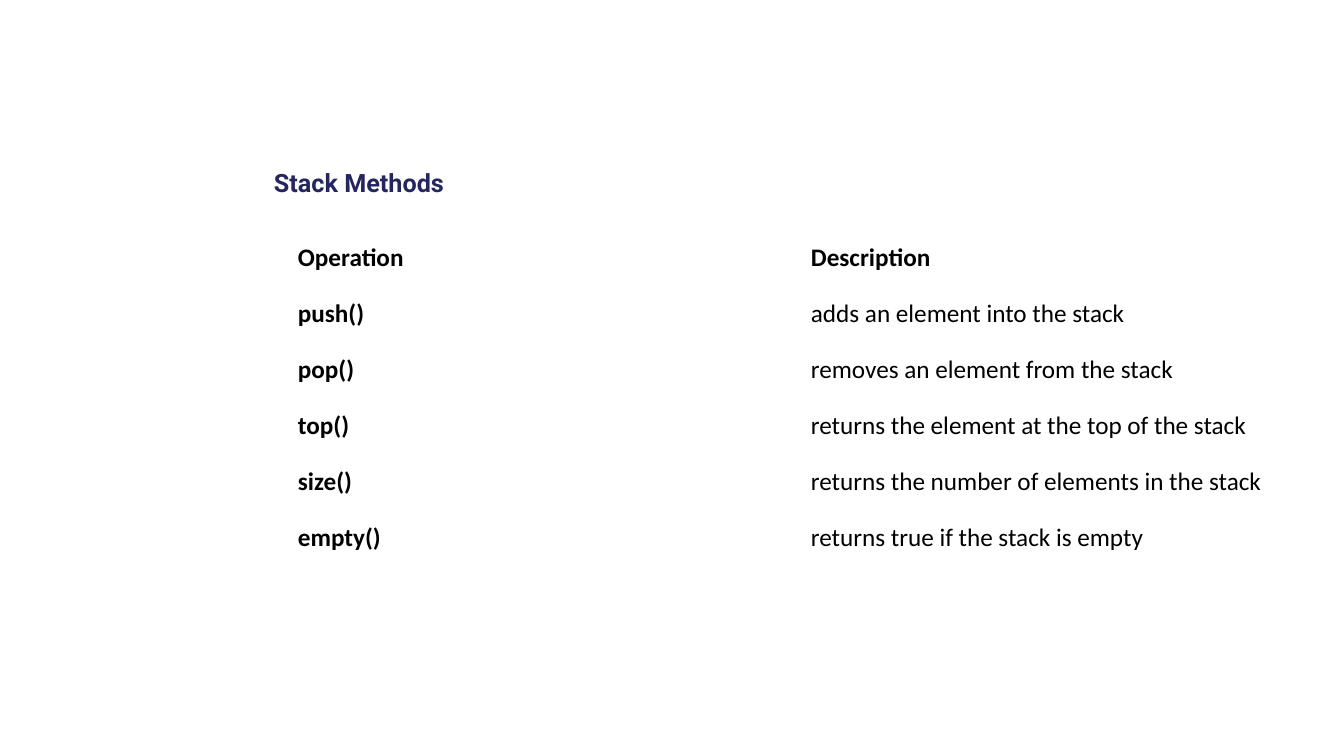
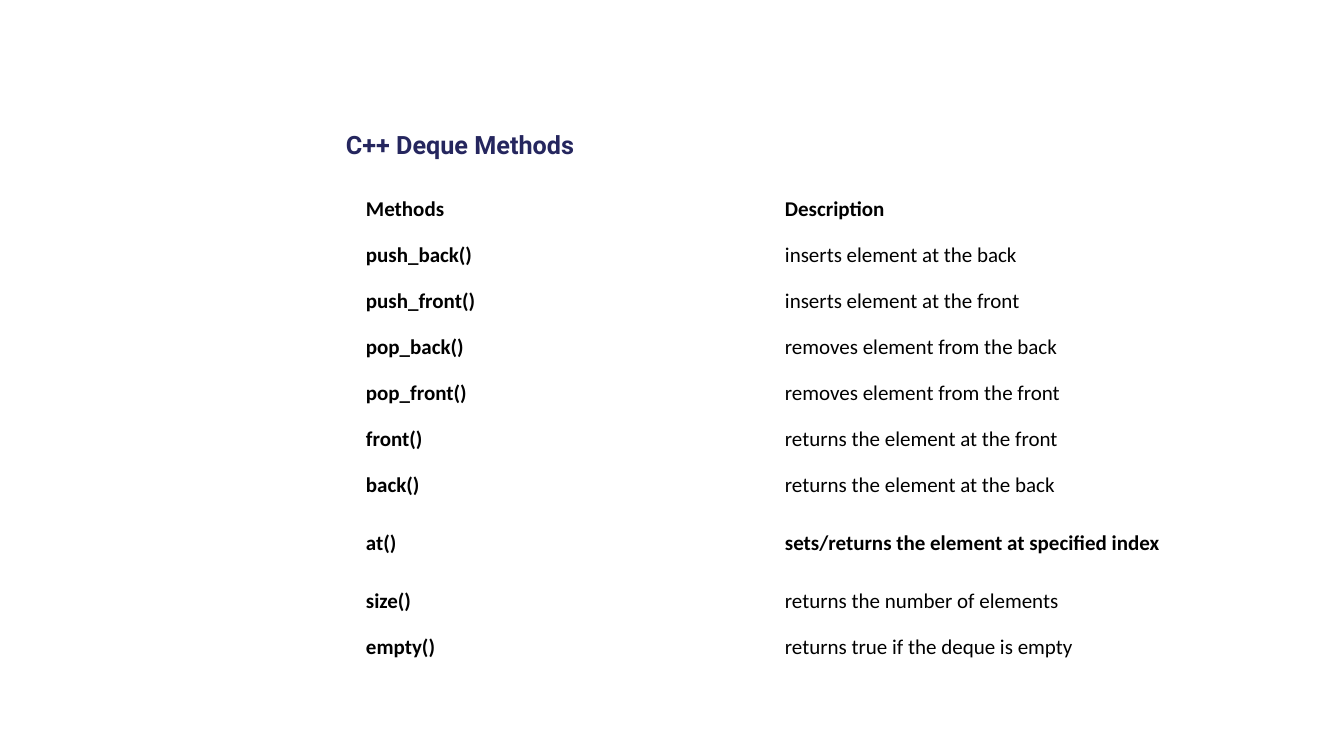
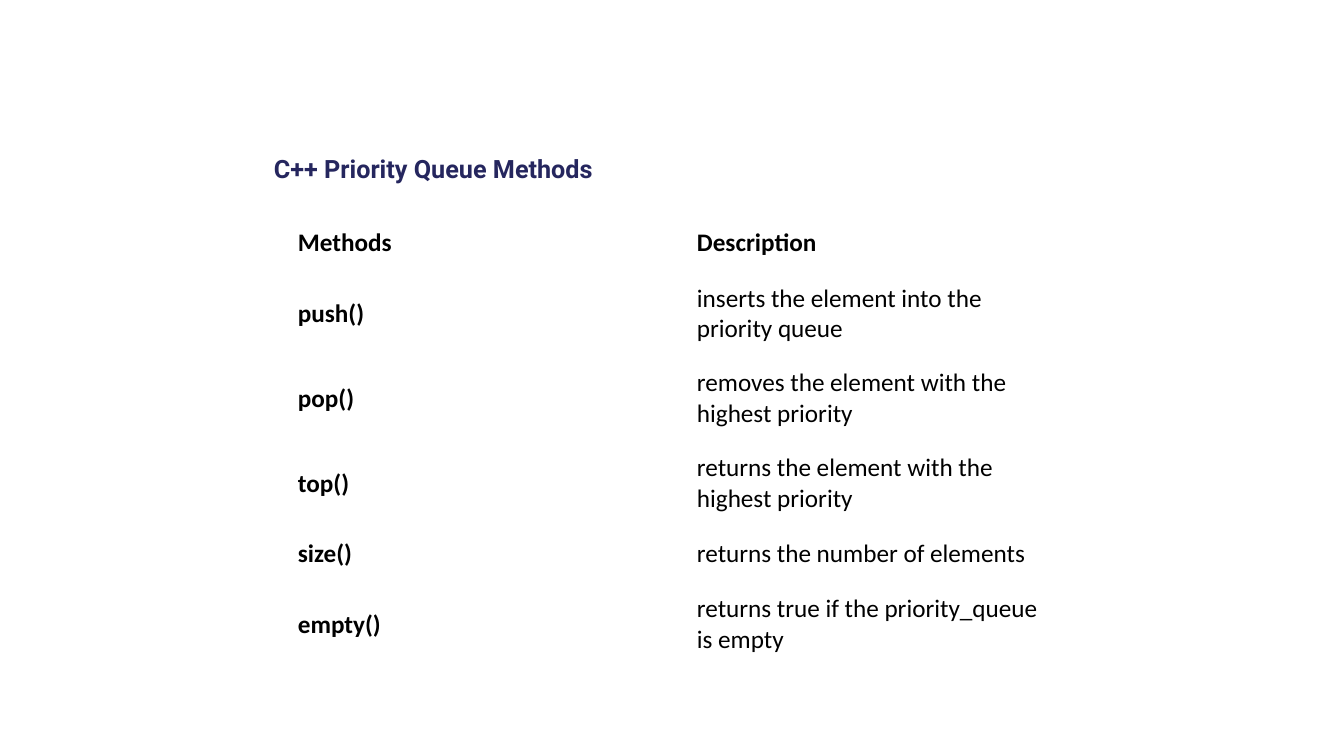
from pptx import Presentation
from pptx.dml.color import RGBColor
from pptx.enum.text import MSO_ANCHOR
from pptx.util import Pt

SCALE = 914400 / 100.8
TOP, MIDDLE = MSO_ANCHOR.TOP, MSO_ANCHOR.MIDDLE
COLORS = {"background": "FFFFFF", "title": "25265E", "body": "000000"}
TITLE_FONT = {"name": "Roboto", "size": Pt(18), "bold": True}
TITLE_HEIGHT = 61


def px(length):
    return round(length * SCALE)


def write_text(paragraph, text, font, color):
    run = paragraph.add_run()
    run.text = text
    for attribute, value in font.items():
        setattr(run.font, attribute, value)
    run.font.color.rgb = RGBColor.from_string(COLORS[color])


method_slides = [
    {
        "title": "Stack Methods",
        "left": 273, "title_top": 167, "title_width": 798,
        "table_top": 230, "column_width": 513, "row_height": 56, "tall_rows": {},
        "size": 18, "inset_x": 25, "inset_y": 12, "bold_rows": {0},
        "rows": [
            ("Operation", "Description"),
            ("push()", "adds an element into the stack"),
            ("pop()", "removes an element from the stack"),
            ("top()", "returns the element at the top of the stack"),
            ("size()", "returns the number of elements in the stack"),
            ("empty()", "returns true if the stack is empty"),
        ],
    },
    {
        "title": "C++ Deque Methods",
        "left": 345, "title_top": 129, "title_width": 655,
        "table_top": 186, "column_width": 419, "row_height": 46, "tall_rows": {7: 70},
        "size": 15, "inset_x": 21, "inset_y": 10, "bold_rows": {0, 7},
        "rows": [
            ("Methods", "Description"),
            ("push_back()", "inserts element at the back"),
            ("push_front()", "inserts element at the front"),
            ("pop_back()", "removes element from the back"),
            ("pop_front()", "removes element from the front"),
            ("front()", "returns the element at the front"),
            ("back()", "returns the element at the back"),
            ("at()", "sets/returns the element at specified index"),
            ("size()", "returns the number of elements"),
            ("empty()", "returns true if the deque is empty"),
        ],
    },
    {
        "title": "C++ Priority Queue Methods",
        "left": 273, "title_top": 153, "title_width": 798,
        "table_top": 215, "column_width": 399, "row_height": 56,
        "tall_rows": {1: 85, 2: 85, 3: 85, 5: 85},
        "size": 18, "inset_x": 25, "inset_y": 12, "bold_rows": {0},
        "rows": [
            ("Methods", "Description"),
            ("push()", "inserts the element into the priority queue"),
            ("pop()", "removes the element with the highest priority"),
            ("top()", "returns the element with the highest priority"),
            ("size()", "returns the number of elements"),
            ("empty()", "returns true if the priority_queue is empty"),
        ],
    },
]

presentation = Presentation()
presentation.slide_width = px(1344)
presentation.slide_height = px(756)
blank_layout = presentation.slide_layouts[6]

for content in method_slides:
    slide = presentation.slides.add_slide(blank_layout)
    slide.background.fill.solid()
    slide.background.fill.fore_color.rgb = RGBColor.from_string(COLORS["background"])

    rows = content["rows"]
    heights = [content["tall_rows"].get(index, content["row_height"]) for index in range(len(rows))]
    table = slide.shapes.add_table(
        len(rows), 2, px(content["left"]), px(content["table_top"]),
        px(2 * content["column_width"]), px(sum(heights)),
    ).table
    table.first_row = False
    table.horz_banding = False
    for column in table.columns:
        column.width = px(content["column_width"])

    cell_format = {
        "vertical_anchor": MIDDLE,
        "margin_left": px(content["inset_x"]),
        "margin_right": px(content["inset_x"]),
        "margin_top": px(content["inset_y"]),
        "margin_bottom": px(content["inset_y"]),
    }
    for row_index, texts in enumerate(rows):
        table.rows[row_index].height = px(heights[row_index])
        for column_index, text in enumerate(texts):
            cell = table.cell(row_index, column_index)
            cell.fill.background()
            for attribute, value in cell_format.items():
                setattr(cell, attribute, value)
            bold = column_index == 0 or row_index in content["bold_rows"]
            cell_font = {"name": "Calibri", "size": Pt(content["size"]), "bold": bold}
            write_text(cell.text_frame.paragraphs[0], text, cell_font, "body")

    title_box = slide.shapes.add_textbox(
        px(content["left"]), px(content["title_top"]), px(content["title_width"]), px(TITLE_HEIGHT)
    )
    title_format = {
        "word_wrap": True, "vertical_anchor": TOP,
        "margin_left": px(1), "margin_right": px(1), "margin_top": 0, "margin_bottom": 0,
    }
    for attribute, value in title_format.items():
        setattr(title_box.text_frame, attribute, value)
    write_text(title_box.text_frame.paragraphs[0], content["title"], TITLE_FONT, "title")

presentation.save("out.pptx")
